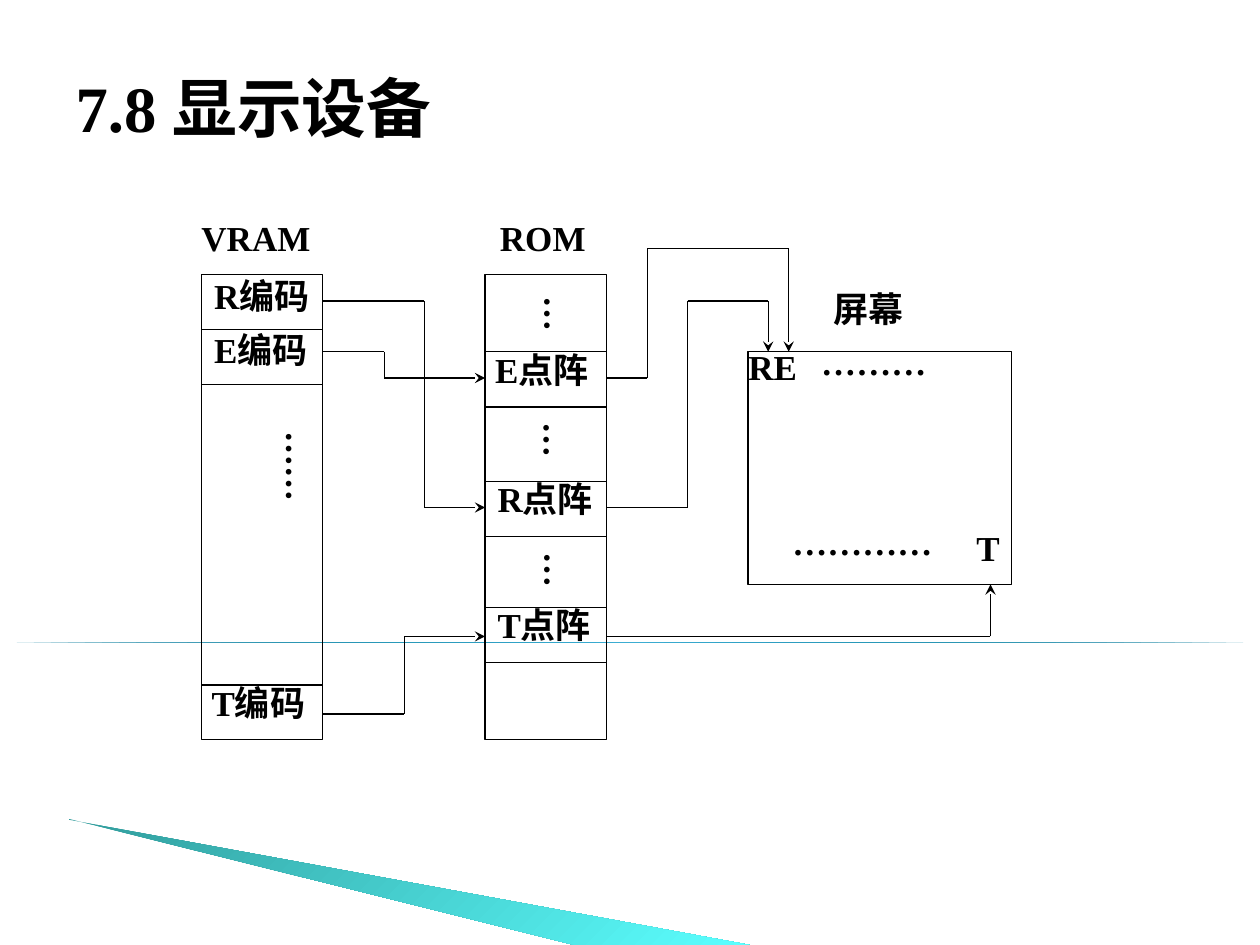
from copy import deepcopy
from dataclasses import dataclass
from itertools import pairwise

from lxml import etree
from pptx import Presentation
from pptx.dml.color import RGBColor
from pptx.enum import shapes, text
from pptx.oxml import ns
from pptx.util import Pt


@dataclass(frozen=True)
class Theme:
    font: str = "Times New Roman"
    title_size: float = 37
    label_size: float = 20
    line_width: float = 0.75
    ink: str = "000000"
    rule: tuple = ("007897", "4ABBE0", "007897")
    wedge: tuple = ("319C9C", "5BFFFF")


class Painter:
    """Holds the theme and the slide, and draws each kind of element."""

    def __init__(self, page, theme):
        self.page = page
        self.theme = theme
        self.canvas = page.shapes

    def start_group(self):
        self.canvas = self.page.shapes.add_group_shape().shapes

    def add_span(self, para, words, size):
        span = para.add_run()
        span.text = words
        span.font.name = self.theme.font
        span.font.size = Pt(size)
        span.font.bold = True
        span.font.color.rgb = RGBColor.from_string(self.theme.ink)

    def title(self, words, left, top, width, height):
        box = self.page.shapes.title
        box.left, box.top = Pt(left), Pt(top)
        box.width, box.height = Pt(width), Pt(height)
        frame = box.text_frame
        frame.auto_size = text.MSO_AUTO_SIZE.NONE
        frame.vertical_anchor = text.MSO_ANCHOR.MIDDLE
        para = frame.paragraphs[0]
        para.alignment = text.PP_ALIGN.JUSTIFY
        para.line_spacing = 0.7
        self.add_span(para, words, self.theme.title_size)

    def label(self, words, left, top, width=92.5, height=31.5, turn=0):
        box = self.canvas.add_textbox(Pt(left), Pt(top), Pt(width), Pt(height))
        box.rotation = turn
        frame = box.text_frame
        frame.word_wrap = True
        frame.auto_size = text.MSO_AUTO_SIZE.SHAPE_TO_FIT_TEXT
        self.add_span(frame.paragraphs[0], words, self.theme.label_size)

    def frame(self, left, top, width, height):
        box = self.canvas.add_shape(
            shapes.MSO_SHAPE.RECTANGLE, Pt(left), Pt(top), Pt(width), Pt(height))
        box.shadow.inherit = False
        box.fill.background()
        self.stroke(box.line)

    def stroke(self, line):
        line.color.rgb = RGBColor.from_string(self.theme.ink)
        line.width = Pt(self.theme.line_width)

    def line(self, start, end, arrow=False):
        link = self.canvas.add_connector(
            shapes.MSO_CONNECTOR.STRAIGHT, *map(Pt, start + end))
        self.stroke(link.line)
        properties = link.element.spPr
        etree.SubElement(properties, ns.qn("a:effectLst"))
        if arrow:
            outline = properties.find(ns.qn("a:ln"))
            etree.SubElement(outline, ns.qn("a:tailEnd"), type="stealth")

    def route(self, points):
        """Draws a bent path whose last leg carries the arrowhead."""
        for start, end in pairwise(points):
            self.line(start, end, arrow=end == points[-1])

    def gradient(self, shape, colors, angle):
        shape.shadow.inherit = False
        shape.line.fill.background()
        fill = shape.fill
        fill.gradient()
        fill.gradient_angle = 360 - angle
        if len(colors) > 2:
            stop_list = shape.element.spPr.find(".//" + ns.qn("a:gsLst"))
            stop_list.append(deepcopy(stop_list[0]))
        for index, (stop, color) in enumerate(zip(fill.gradient_stops, colors)):
            stop.position = index / (len(colors) - 1)
            stop.color.rgb = RGBColor.from_string(color)

    def rule(self, left, top, width):
        shape = self.canvas.add_shape(
            shapes.MSO_SHAPE.RIGHT_TRIANGLE, Pt(left), Pt(top), Pt(width), Pt(0))
        self.gradient(shape, self.theme.rule, 50)

    def wedge(self, points):
        start, *rest = [(Pt(x), Pt(y)) for x, y in points]
        builder = self.canvas.build_freeform(*start)
        builder.add_line_segments(rest, close=True)
        self.gradient(builder.convert_to_shape(), self.theme.wedge, 45)


def draw_memory(painter, left, top, width, height, dividers):
    painter.frame(left, top, width, height)
    for y in dividers:
        painter.line((left, y), (left + width, y))


def main():
    deck = Presentation()
    deck.slide_width, deck.slide_height = Pt(720), Pt(540)
    painter = Painter(deck.slides.add_slide(deck.slide_layouts[5]), Theme())

    # Background decoration and title
    painter.rule(0, 367.2, 720)
    painter.wedge([(39.6, 468.5), (428.4, 540), (328.3, 540), (39.6, 468)])
    painter.title("7.8 显示设备", 36, 21.6, 648, 90)

    # Memories and screen
    painter.start_group()
    vram, rom, column, top, height = 115.2, 277.2, 69.3, 157, 265.7
    screen, screen_top, screen_height = 427.5, 201, 133
    draw_memory(painter, vram, top, column, height, [188.4, 219.6, 391.5])
    draw_memory(painter, rom, top, column, height,
                [201, 232.6, 275, 306.5, 347, 378.5])
    painter.frame(screen, screen_top, 150.5, screen_height)

    # Codes in VRAM lead to dot patterns in ROM
    vram_edge, rom_edge = vram + column, rom + column
    e_row, r_row, t_row = 216, 290, 363.7
    for code_y, bend, row in [(172, 242.5, r_row), (201, 219.6, e_row),
                              (408, 231, t_row)]:
        painter.route([(vram_edge, code_y), (bend, code_y), (bend, row), (rom, row)])

    # Dot patterns lead to characters on the screen
    for row, bend, rise, target in [(e_row, 370, 142, 450.7), (r_row, 393, 172, 439)]:
        painter.route([(rom_edge, row), (bend, row), (bend, rise),
                       (target, rise), (target, screen_top)])
    painter.route([(rom_edge, t_row), (566, t_row), (566, screen_top + screen_height)])

    # Headings, cell labels and screen characters
    for words, left, y in [
        ("VRAM", 108, 120.2), ("ROM", 278.6, 120.2), ("屏幕", 469.4, 160.6),
        ("R编码", 115.2, 153.4), ("E编码", 115.2, 184.3), ("T编码", 113.8, 385.9),
        ("E点阵", 275.8, 195.8), ("R点阵", 277.2, 269.3), ("T点阵", 277.2, 341.3),
        ("RE", 420.5, 193.7), ("T", 550.8, 297.4),
    ]:
        painter.label(words, left, y)

    # Dots for the cells and characters left out
    for words, left, y in [("…", 245.5, 220.3), ("…", 245, 292.3),
                           ("…", 245.5, 366.5), ("……", 97.9, 297.4)]:
        painter.label(words, left, y, width=147, turn=90)
    painter.label("………", 462.2, 190.8, width=173.5)
    painter.label("…………", 445.7, 293.8, width=129)

    deck.save("out.pptx")


if __name__ == "__main__":
    main()
